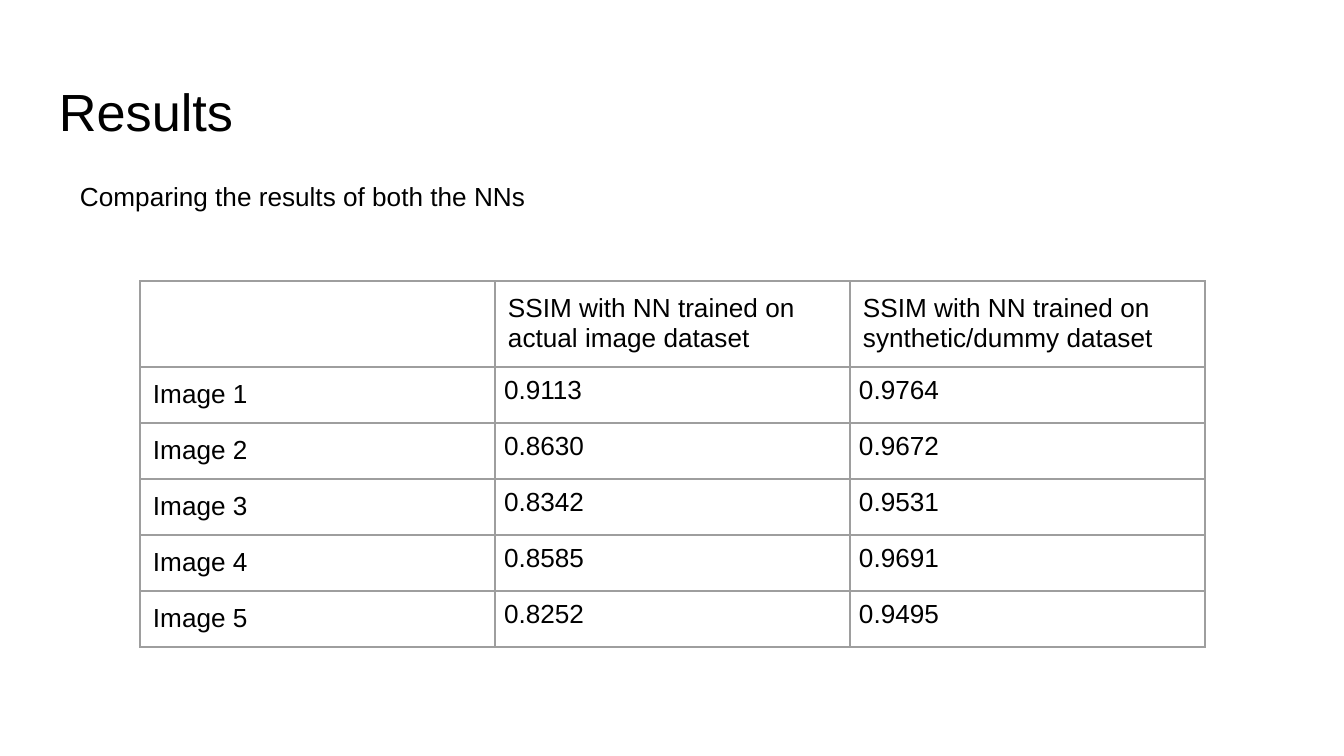
from lxml.etree import SubElement
from pptx import Presentation
from pptx.dml.color import RGBColor
from pptx.enum.text import MSO_ANCHOR, MSO_AUTO_SIZE, PP_ALIGN
from pptx.oxml.ns import qn
from pptx.util import Emu, Pt

FONT = "Arial"
BLACK = RGBColor(0x00, 0x00, 0x00)
GREY = RGBColor(0x9E, 0x9E, 0x9E)
EMU_PER_PX = 914400 / 134.4
WIDE_INSET, NARROW_INSET = 13, 9
HEADER_HEIGHT, ROW_HEIGHT, COLUMN_WIDTH = 86, 56, 355

ROWS = [
    ("", "SSIM with NN trained on actual image dataset",
     "SSIM with NN trained on synthetic/dummy dataset"),
    ("Image 1", "0.9113", "0.9764"),
    ("Image 2", "0.8630", "0.9672"),
    ("Image 3", "0.8342", "0.9531"),
    ("Image 4", "0.8585", "0.9691"),
    ("Image 5", "0.8252", "0.9495"),
]


def px(length):
    """Turn pixels into EMU."""
    return Emu(round(length * EMU_PER_PX))


def set_margins(holder, inset):
    """Give a text frame or cell the same inset on all sides."""
    holder.margin_left = holder.margin_right = px(inset)
    holder.margin_top = holder.margin_bottom = px(inset)


def write(frame, text, size):
    """Write one left-aligned run in a text frame."""
    para = frame.paragraphs[0]
    para.alignment = PP_ALIGN.LEFT
    span = para.add_run()
    span.text = text
    span.font.name = FONT
    span.font.size = Pt(size)
    span.font.bold = False
    span.font.color.rgb = BLACK


def format_box(box, text, size):
    """Format a text shape and write its line."""
    frame = box.text_frame
    frame.word_wrap = True
    frame.auto_size = MSO_AUTO_SIZE.NONE
    frame.vertical_anchor = MSO_ANCHOR.TOP
    set_margins(frame, WIDE_INSET)
    write(frame, text, size)


def add_title(page, text):
    """Place and fill the title placeholder."""
    title = page.shapes.title
    title.left, title.top = px(46), px(66)
    title.width, title.height = px(1253), px(85)
    format_box(title, text, 28)


def add_subtitle(page, text):
    """Add the line of text above the table."""
    box = page.shapes.add_textbox(px(67), px(167), px(1199), px(70))
    format_box(box, text, 14)


def add_borders(cell):
    """Draw thin grey lines around a cell."""
    properties = cell._tc.get_or_add_tcPr()
    for index, side in enumerate(("lnL", "lnR", "lnT", "lnB")):
        line = SubElement(properties, qn(f"a:{side}"), w=str(Pt(0.75)))
        fill = SubElement(line, qn("a:solidFill"))
        SubElement(fill, qn("a:srgbClr"), val=str(GREY))
        properties.insert(index, line)


def add_results(page, rows):
    """Add the table of results."""
    column_count = len(rows[0])
    height = HEADER_HEIGHT + ROW_HEIGHT * (len(rows) - 1)
    table = page.shapes.add_table(
        len(rows), column_count, px(140), px(281),
        px(COLUMN_WIDTH * column_count), px(height)).table
    table.first_row = table.horz_banding = False
    for column in table.columns:
        column.width = px(COLUMN_WIDTH)
    for row_index, values in enumerate(rows):
        table.rows[row_index].height = px(ROW_HEIGHT if row_index else HEADER_HEIGHT)
        for column_index, value in enumerate(values):
            cell = table.cell(row_index, column_index)
            is_number = row_index > 0 and column_index > 0
            set_margins(cell, NARROW_INSET if is_number else WIDE_INSET)
            cell.vertical_anchor = MSO_ANCHOR.TOP
            cell.fill.background()
            add_borders(cell)
            if value:
                write(cell.text_frame, value, 14)


def main():
    """Build and save the results slide."""
    deck = Presentation()
    deck.slide_width, deck.slide_height = px(1344), px(756)
    page = deck.slides.add_slide(deck.slide_layouts.get_by_name("Title Only"))
    add_title(page, "Results")
    add_results(page, ROWS)
    add_subtitle(page, "Comparing the results of both the NNs")
    deck.save("out.pptx")


if __name__ == "__main__":
    main()
